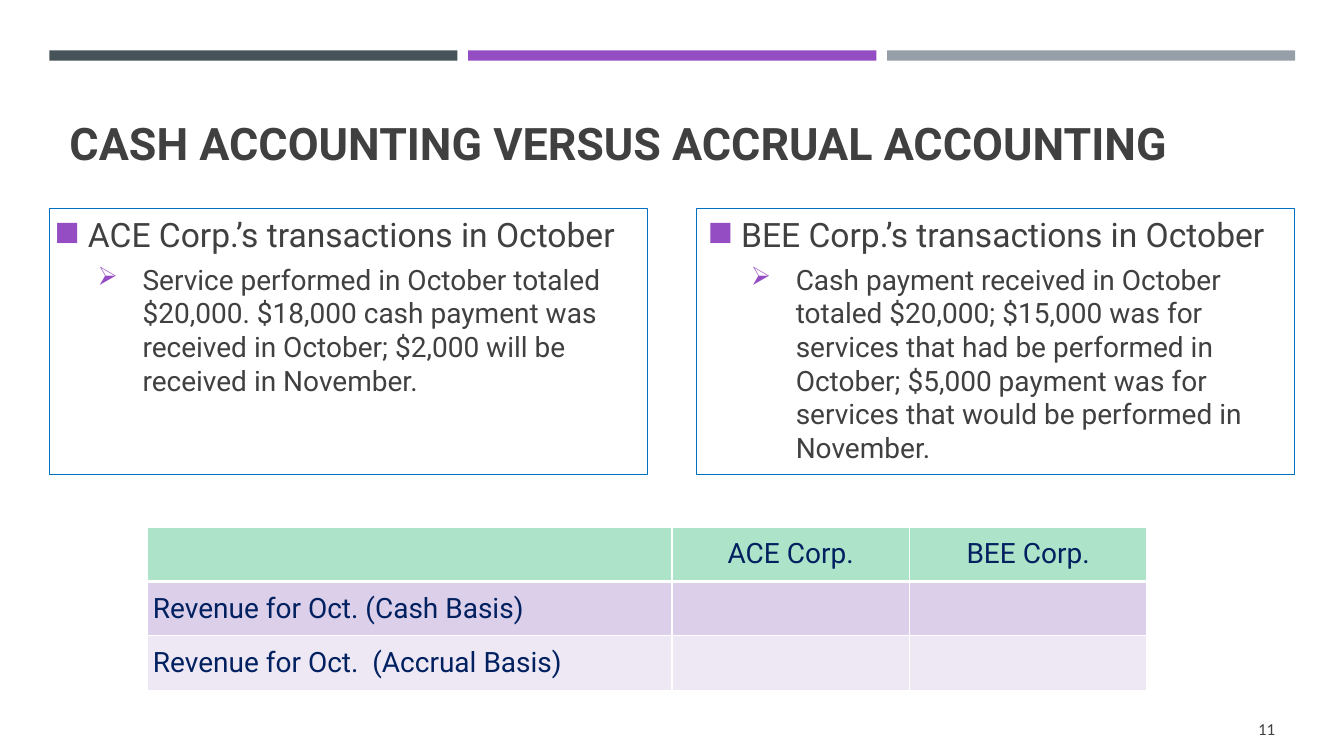
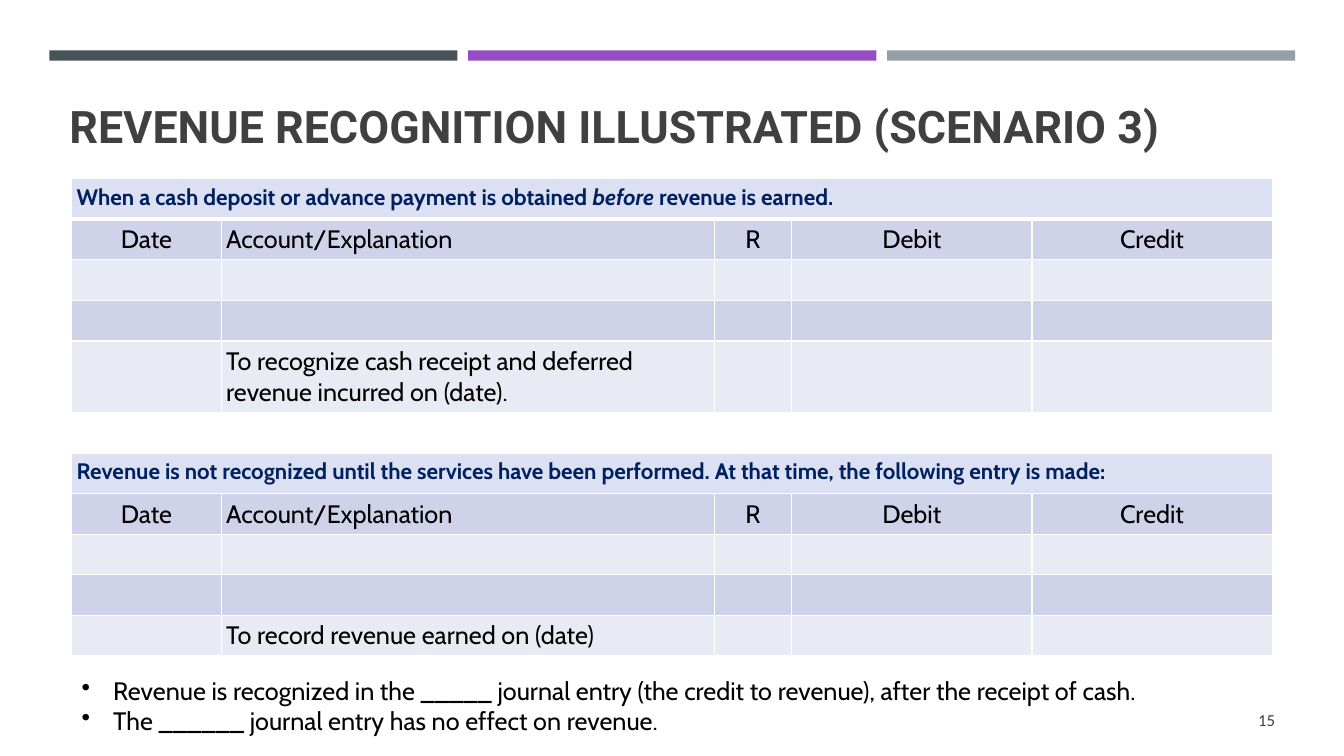
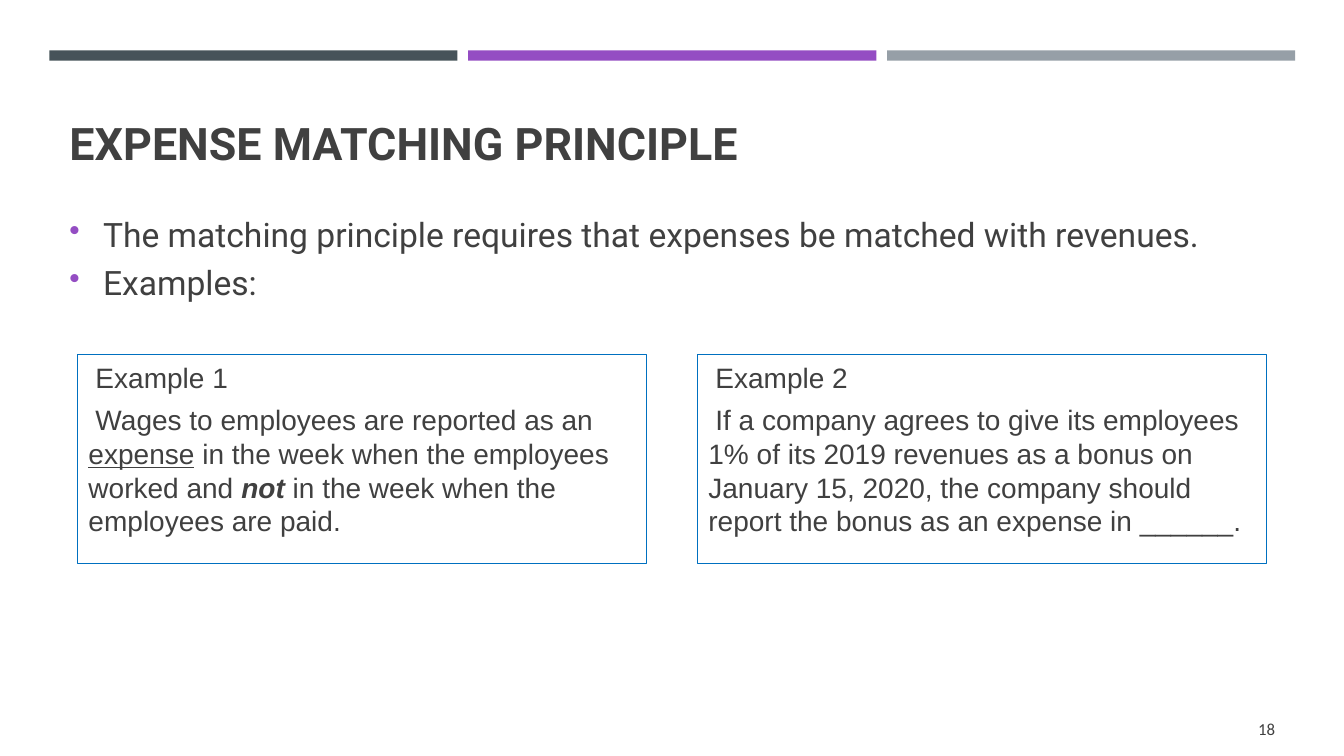
from lxml.etree import SubElement
from pptx import Presentation
from pptx.dml.color import RGBColor
from pptx.enum.shapes import MSO_SHAPE as Geo
from pptx.enum.text import MSO_ANCHOR as Anchor, PP_ALIGN as Align
from pptx.oxml.ns import qn
from pptx.util import Pt

GRAY, NAVY, BLACK, WHITE = "404040", "002060", "000000", "FFFFFF"
PURPLE, BLUE = "944DC3", "0070C0"
BARS = ["465359", PURPLE, "969FA7"]
PALE, DARK, LIGHT = "DBE1F3", "CFD2E9", "E8EAF4"
TEXT_H = 128


def rgb(code):
    return RGBColor.from_string(code)


class Deck:
    """Holds the shared style and the current slide."""

    def __init__(self):
        self.prs = Presentation()
        self.prs.slide_width, self.prs.slide_height = Pt(960), Pt(540)
        self.slide = None

    def page(self, title, num, top=55.4, foot=509.8):
        self.slide = self.prs.slides.add_slide(self.prs.slide_layouts[6])
        for i, color in enumerate(BARS):
            self.rect(35.2 + 299.2 * i, 36, 291.6, 7.4, fill=color)
        head = self.text(46, top, 868, 93.6, Anchor.MIDDLE)
        self.fill(head.paragraphs[0], title, "Roboto", 32, GRAY, "b")
        foot = self.text(870, foot, 44.4, 21, Anchor.MIDDLE)
        foot.paragraphs[0].alignment = Align.RIGHT
        self.fill(foot.paragraphs[0], num, "Calibri", 12, GRAY)

    def rect(self, x, y, w, h, fill=None, line=None):
        box = self.slide.shapes.add_shape(
            Geo.RECTANGLE, Pt(x), Pt(y), Pt(w), Pt(h))
        box.shadow.inherit = False
        if fill:
            box.fill.solid()
            box.fill.fore_color.rgb = rgb(fill)
        else:
            box.fill.background()
        if line:
            box.line.color.rgb = rgb(line)
            box.line.width = Pt(0.75)
        else:
            box.line.fill.background()

    def text(self, x, y, w, h, anchor=Anchor.TOP):
        frame = self.slide.shapes.add_textbox(
            Pt(x), Pt(y), Pt(w), Pt(h)).text_frame
        frame.word_wrap = True
        frame.vertical_anchor = anchor
        self.inset(frame)
        return frame

    def inset(self, item):
        item.margin_left = item.margin_right = Pt(3.6)
        item.margin_top = item.margin_bottom = Pt(3.6)

    def fill(self, para, parts, font, size, color, style=""):
        for part in [parts] if isinstance(parts, str) else parts:
            words, extra = (part, "") if isinstance(part, str) else part
            run = para.add_run()
            run.text = words
            face = run.font
            face.name, face.size = font, Pt(size)
            face.color.rgb = rgb(color)
            face.bold = "b" in style + extra
            face.italic = "i" in extra
            face.underline = "u" in extra

    def list(self, frame, items, font, color=GRAY, tint=PURPLE, gap=6):
        for i, (parts, size, left, hang, mark) in enumerate(items):
            para = frame.add_paragraph() if i else frame.paragraphs[0]
            props = para._p.get_or_add_pPr()
            props.set("marL", str(Pt(left)))
            props.set("indent", str(Pt(hang)))
            if mark:
                hue = SubElement(props, qn("a:buClr"))
                SubElement(hue, qn("a:srgbClr"), val=tint)
                scale = "92000" if tint == PURPLE else "100000"
                SubElement(props, qn("a:buSzPct"), val=scale)
                SubElement(props, qn("a:buChar"), char=mark)
            para.line_spacing = Pt(1.2 * size)
            para.space_before = Pt(gap if i else 0)
            self.fill(para, parts, font, size, color)

    def grid(self, x, y, cols, rows):
        frame = self.slide.shapes.add_table(
            len(rows), len(cols), Pt(x), Pt(y), Pt(sum(cols)), Pt(sum(rows)))
        table = frame.table
        table.first_row = table.horz_banding = False
        for col, width in zip(table.columns, cols):
            col.width = Pt(width)
        for row, height in zip(table.rows, rows):
            row.height = Pt(height)
        return table

    def cell(self, table, r, c, fill):
        cell = table.cell(r, c)
        self.inset(cell)
        props = cell._tc.get_or_add_tcPr()
        top, low = 3 if r == 1 else 1, 3 if r == 0 else 1
        for side, width in zip("LRTB", (1, 1, top, low)):
            line = SubElement(props, qn("a:ln" + side), w=str(Pt(width)))
            paint = SubElement(line, qn("a:solidFill"))
            SubElement(paint, qn("a:srgbClr"), val=WHITE)
        cell.fill.solid()
        cell.fill.fore_color.rgb = rgb(fill)
        return cell


def basis(deck):
    deck.page("CASH ACCOUNTING VERSUS ACCRUAL ACCOUNTING", "11")
    firms = [
        (35.2, 35.2, "ACE Corp.",
         "Service performed in October totaled $20,000. $18,000 cash payment "
         "was received in October; $2,000 will be received in November."),
        (497.6, 501.8, "BEE Corp.",
         "Cash payment received in October totaled $20,000; $15,000 was for "
         "services that had be performed in October; $5,000 payment was for "
         "services that would be performed in November."),
    ]
    for left, inner, name, note in firms:
        deck.rect(left, 149, 427, 190, line=BLUE)
        frame = deck.text(inner, 149, 423, 186)
        deck.list(frame, [
            (name + "’s transactions in October", 24, 24, -24, "◼"),
            (note, 20, 63, -32, "➢")], "Roboto")
    rows = [
        ("ADE4C9", ["", "ACE Corp.", "BEE Corp."]),
        ("DCCFE9", ["Revenue for Oct. (Cash Basis)", "", ""]),
        ("EEE8F4", ["Revenue for Oct.  (Accrual Basis)", "", ""]),
    ]
    table = deck.grid(105.6, 376.6, [374.4, 169.6, 169.6], [38.8] * 3)
    for r, (fill, words) in enumerate(rows):
        for c, word in enumerate(words):
            cell = deck.cell(table, r, c, fill)
            cell.vertical_anchor = Anchor.MIDDLE
            if word:
                para = cell.text_frame.paragraphs[0]
                para.alignment = Align.CENTER if c else Align.LEFT
                deck.fill(para, word, "Roboto", 20, NAVY)


def entry(deck):
    deck.page("REVENUE RECOGNITION ILLUSTRATED (SCENARIO 3)", "15", 43.2, 503.3)
    heads = ["Date", "Account/Explanation", "R", "Debit", "Credit"]
    blank = [""] * 5

    def block(lead, note):
        return [(PALE, [lead]), (DARK, heads), (LIGHT, blank), (DARK, blank),
                (LIGHT, ["", note, "", "", ""])]

    rows = block(
        ["When a cash deposit or advance payment is obtained ",
         ("before", "i"), " revenue is earned."],
        "To recognize cash receipt and deferred revenue incurred on (date).")
    rows += [(WHITE, [""])]
    rows += block(
        "Revenue is not recognized until the services have been performed. "
        "At that time, the following entry is made:",
        "To record revenue earned on (date)")
    sizes = [29] * len(rows)
    sizes[4] = 51
    table = deck.grid(51.2, 127.6, [106.8, 352.2, 55.4, 171.6, 171.6], sizes)
    for r, (fill, words) in enumerate(rows):
        for c in range(5):
            deck.cell(table, r, c, fill)
        wide = len(words) == 1
        if wide:
            table.cell(r, 0).merge(table.cell(r, 4))
        for c, word in enumerate(words):
            if word:
                para = table.cell(r, c).text_frame.paragraphs[0]
                plain = wide or c == 1
                para.alignment = Align.LEFT if plain else Align.CENTER
                look = (16, NAVY, "b") if wide else (18, BLACK)
                deck.fill(para, word, "Cabin", *look)
    notes = [
        "Revenue is recognized in the _____ journal entry (the credit to "
        "revenue), after the receipt of cash.",
        "The ______ journal entry has no effect on revenue.",
    ]
    frame = deck.text(54.8, 479, 845, 51)
    deck.list(frame, [(note, 18, 22.5, -22.5, "•") for note in notes],
              "Cabin", BLACK, BLACK, 0)


def match(deck):
    deck.page("EXPENSE MATCHING PRINCIPLE", "18")
    lines = [
        "The matching principle requires that expenses be matched with "
        "revenues.",
        "Examples:",
    ]
    frame = deck.text(46, 149, 868, 90)
    deck.list(frame, [(line, 24, 24, -24, "•") for line in lines], "Roboto")
    cases = [
        ["Wages to employees are reported as an ", ("expense", "u"),
         " in the week when the employees worked and ", ("not", "bi"),
         " in the week when the employees are paid."],
        "If a company agrees to give its employees 1% of its 2019 revenues "
        "as a bonus on January 15, 2020, the company should report the bonus "
        "as an expense in ______.",
    ]
    for i, case in enumerate(cases):
        left = 55.4 + 442.8 * i
        deck.rect(left, 253.6, 406.4, 149, line=BLUE)
        frame = deck.text(left + 4.2, 254.2, 398.4, TEXT_H)
        deck.list(frame, [(f"Example {i + 1}", 20, 0, 5, ""),
                          (case, 20, 0, 5, "")], "Arial")


def main():
    deck = Deck()
    for build in (basis, entry, match):
        build(deck)
    deck.prs.save("out.pptx")


if __name__ == "__main__":
    main()
